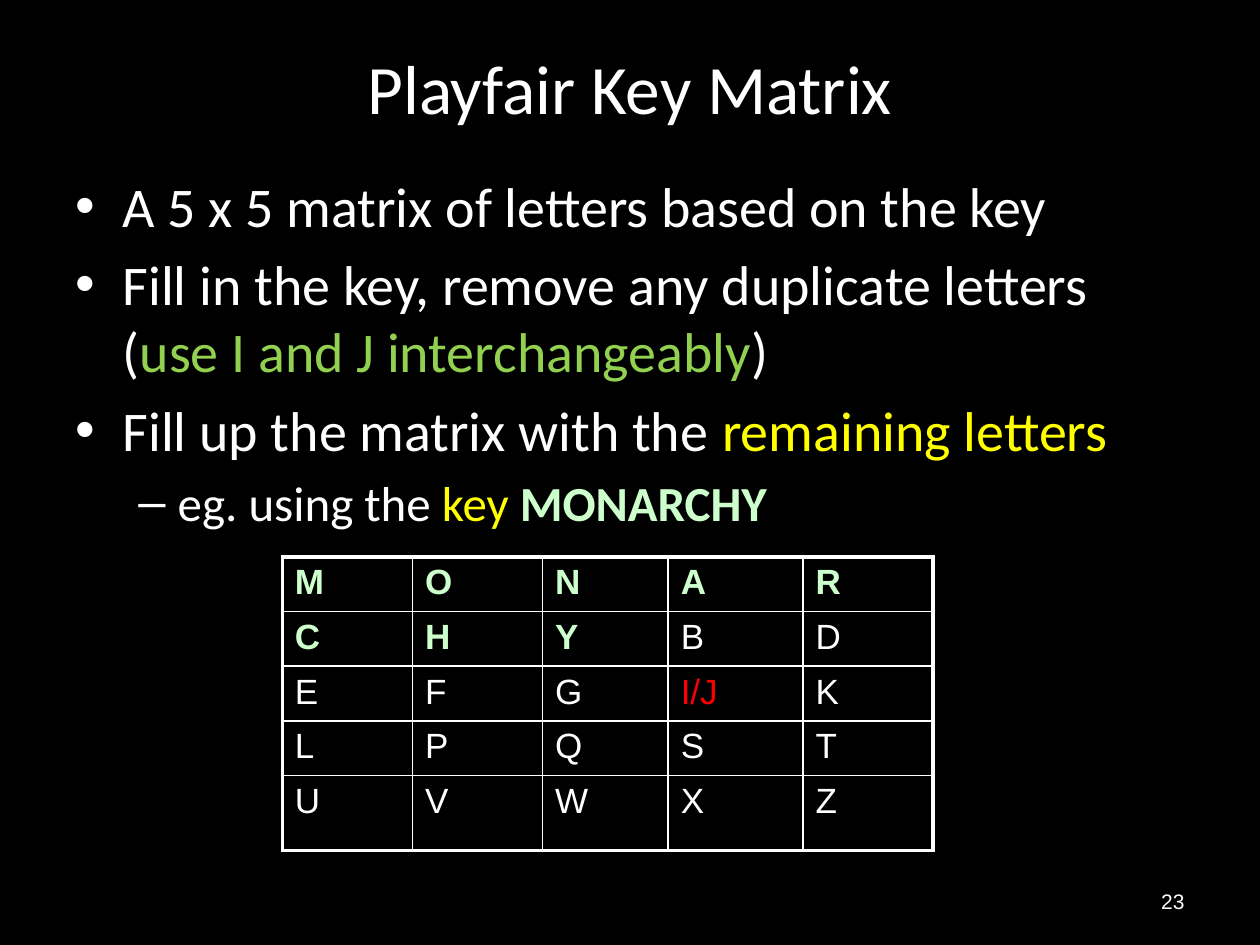
from lxml.etree import SubElement
from pptx import Presentation
from pptx.dml.color import RGBColor
from pptx.enum.text import MSO_ANCHOR, PP_ALIGN
from pptx.oxml.ns import qn
from pptx.util import Pt

COLORS = {
    "background": "000000",
    "text": "FFFFFF",
    "key": "CCFFCC",
    "interchange": "92D050",
    "highlight": "FFFF00",
    "shared": "FF0000",
}


def format_run(run, size, font, color="text", bold=False):
    run.font.size = Pt(size)
    run.font.name = font
    run.font.bold = bold
    run.font.color.rgb = RGBColor.from_string(COLORS[color])


def add_text_frame(slide, left, top, width, height, anchor):
    frame = slide.shapes.add_textbox(Pt(left), Pt(top), Pt(width), Pt(height)).text_frame
    frame.word_wrap = True
    frame.vertical_anchor = anchor
    return frame


prs = Presentation()
prs.slide_width, prs.slide_height = Pt(720), Pt(540)
slide = prs.slides.add_slide(prs.slide_layouts[6])
slide.background.fill.solid()
slide.background.fill.fore_color.rgb = RGBColor.from_string(COLORS["background"])

captions = [
    ("Playfair Key Matrix", (36, 21.6, 648, 56.2), 39.6, "Calibri", PP_ALIGN.CENTER),
    ("23", (516.2, 500.4, 167.8, 28.8), 12, "Arial", PP_ALIGN.RIGHT),
]
for caption, box, size, font, align in captions:
    line = add_text_frame(slide, *box, MSO_ANCHOR.MIDDLE).paragraphs[0]
    line.text = caption
    line.alignment = align
    format_run(line.runs[0], size, font)

points = [
    (0, [("A 5 x 5 matrix of letters based on the key", "text")]),
    (0, [("Fill in the key, remove any duplicate letters (", "text"),
         ("use I and J interchangeably", "interchange"), (")", "text")]),
    (0, [("Fill up the matrix with the ", "text"), ("remaining letters", "highlight")]),
    (1, [("eg. using the ", "text"), ("key ", "highlight"), ("MONARCHY", "key")]),
]
levels = [(32, 27, 27, "•"), (28, 58.5, 22.5, "–")]
body = add_text_frame(slide, 36, 94.3, 648, 210.2, MSO_ANCHOR.TOP)
for index, (level, pieces) in enumerate(points):
    point = body.add_paragraph() if index else body.paragraphs[0]
    size, margin, hang, bullet = levels[level]
    point.level = level
    point.space_before = Pt(0.2 * size if index else 0)
    for piece, color in pieces:
        run = point.add_run()
        run.text = piece
        format_run(run, size, "Calibri", color, color == "key")
    properties = point._p.get_or_add_pPr()
    properties.set("marL", str(Pt(margin)))
    properties.set("indent", str(-Pt(hang)))
    SubElement(properties, qn("a:buFont"), typeface="Arial")
    SubElement(properties, qn("a:buChar"), char=bullet)

key = "MONARCHY"
letters = list(key) + ["B", "D", "E", "F", "G", "I/J", *"KLPQSTUVWXZ"]
column_widths = [74.4, 74.4, 71.8, 77, 74.4]
row_heights = [29.7] * 4 + [43]
matrix = slide.shapes.add_table(
    5, 5, Pt(161.3), Pt(318.2), Pt(sum(column_widths)), Pt(sum(row_heights))
).table
matrix.first_row = matrix.horz_banding = False
for column, width in zip(matrix.columns, column_widths):
    column.width = Pt(width)
for row, height in zip(matrix.rows, row_heights):
    row.height = Pt(height)

for index, letter in enumerate(letters):
    row, column = divmod(index, 5)
    cell = matrix.cell(row, column)
    cell.text_frame.text = letter
    in_key = letter in key
    color = "key" if in_key else "shared" if letter == "I/J" else "text"
    format_run(cell.text_frame.paragraphs[0].runs[0], 20, "Arial", color, in_key)
    edges = {"a:lnL": column == 0, "a:lnR": column == 4, "a:lnT": row == 0, "a:lnB": row == 4}
    for edge, outer in edges.items():
        border = SubElement(cell._tc.get_or_add_tcPr(), qn(edge), w=str(Pt(2.25 if outer else 1)))
        SubElement(SubElement(border, qn("a:solidFill")), qn("a:srgbClr"), val=COLORS["text"])
    cell.fill.background()

prs.save("out.pptx")
